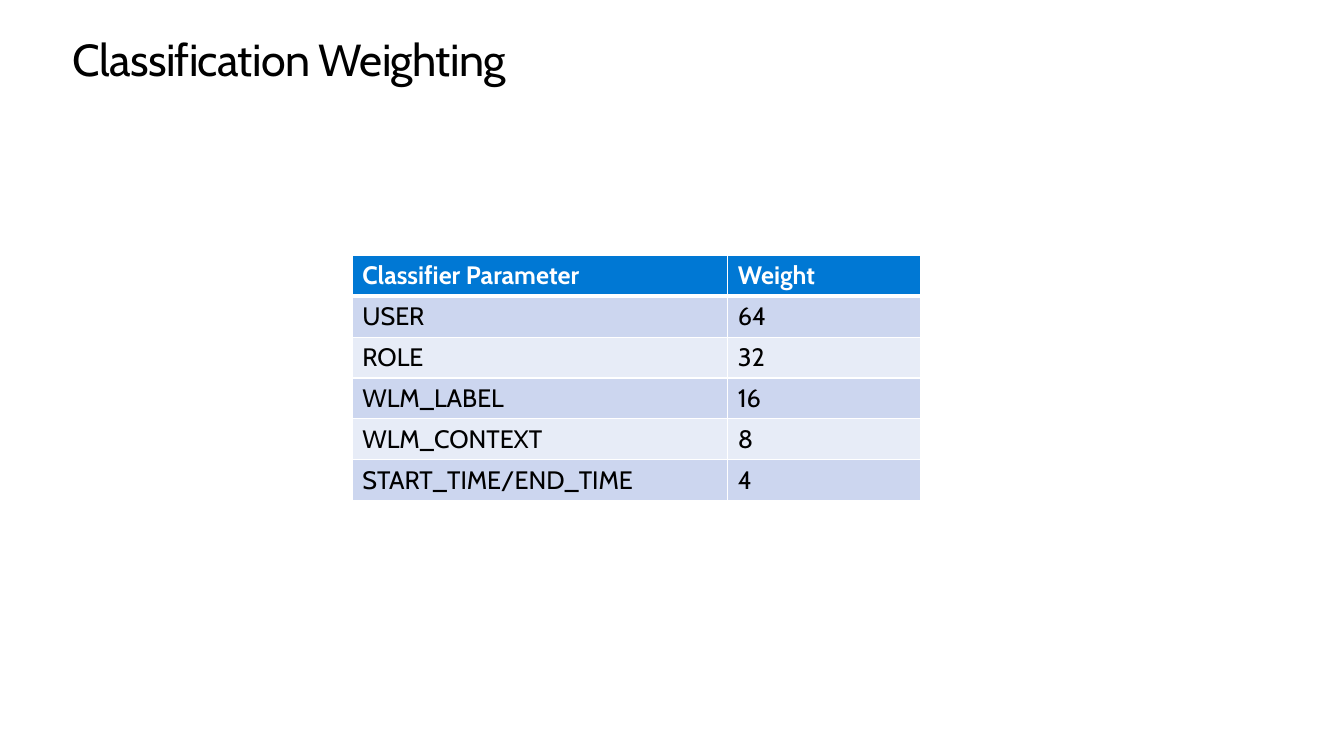
from dataclasses import dataclass

import lxml.etree
import pptx
import pptx.dml.color
import pptx.enum.text
import pptx.oxml.ns
import pptx.table
import pptx.text.text
import pptx.util

Pt = pptx.util.Pt
RGBColor = pptx.dml.color.RGBColor
qn = pptx.oxml.ns.qn

FONT = "Cabin"
WHITE = RGBColor(0xFF, 0xFF, 0xFF)
BLACK = RGBColor(0x00, 0x00, 0x00)
HEADER_BLUE = RGBColor(0x00, 0x78, 0xD4)
BAND_DARK = RGBColor(0xCC, 0xD6, 0xEF)
BAND_LIGHT = RGBColor(0xE7, 0xEC, 0xF7)

COLUMN_WIDTHS = (268.2, 137.9)
ROW_HEIGHT = 29.2
THIN, THICK = 1, 3


@dataclass(frozen=True)
class Weighting:
    parameter: str
    weight: str


HEADER = Weighting("Classifier Parameter", "Weight")
WEIGHTINGS = [
    Weighting("USER", "64"),
    Weighting("ROLE", "32"),
    Weighting("WLM_LABEL", "16"),
    Weighting("WLM_CONTEXT", "8"),
    Weighting("START_TIME/END_TIME", "4"),
]


def format_run(r: pptx.text.text._Run, size: float, color: RGBColor, bold: bool = False) -> None:
    r.font.name = FONT
    r.font.size = Pt(size)
    r.font.bold = bold
    r.font.color.rgb = color


def set_borders(cell: pptx.table._Cell, top: float, bottom: float) -> None:
    """Draw white borders; call before the cell is filled, as the schema puts lines first."""
    tcPr = cell._tc.get_or_add_tcPr()
    for side, width in (("L", THIN), ("R", THIN), ("T", top), ("B", bottom)):
        ln = lxml.etree.SubElement(tcPr, qn(f"a:ln{side}"), w=str(Pt(width)))
        fill = lxml.etree.SubElement(ln, qn("a:solidFill"))
        lxml.etree.SubElement(fill, qn("a:srgbClr"), val=str(WHITE))


def add_title(s: pptx.slide.Slide, text: str) -> None:
    sp = s.shapes.title
    sp.left, sp.top, sp.width, sp.height = Pt(52), Pt(25), Pt(857), Pt(36.2)
    sp.fill.solid()
    sp.fill.fore_color.rgb = WHITE
    tf = sp.text_frame
    tf.text = text
    tf.word_wrap = True
    tf.auto_size = pptx.enum.text.MSO_AUTO_SIZE.SHAPE_TO_FIT_TEXT
    tf.vertical_anchor = pptx.enum.text.MSO_ANCHOR.TOP
    tf.margin_left = tf.margin_right = tf.margin_top = tf.margin_bottom = 0
    p = tf.paragraphs[0]
    p.alignment = pptx.enum.text.PP_ALIGN.LEFT
    p.line_spacing = Pt(36.2)
    r = p.runs[0]
    format_run(r, 32, BLACK)
    r.font._element.set("spc", "-50")


def add_weight_table(s: pptx.slide.Slide) -> None:
    rows = [HEADER, *WEIGHTINGS]
    table = s.shapes.add_table(
        len(rows), len(COLUMN_WIDTHS), Pt(251.6), Pt(182.4),
        Pt(sum(COLUMN_WIDTHS)), Pt(ROW_HEIGHT * len(rows)),
    ).table
    for column, width in zip(table.columns, COLUMN_WIDTHS):
        column.width = Pt(width)
    for i, row in enumerate(rows):
        table.rows[i].height = Pt(ROW_HEIGHT)
        is_header = i == 0
        fill = HEADER_BLUE if is_header else BAND_DARK if i % 2 else BAND_LIGHT
        for j, text in enumerate((row.parameter, row.weight)):
            cell = table.cell(i, j)
            set_borders(cell, THICK if i == 1 else THIN, THICK if is_header else THIN)
            cell.fill.solid()
            cell.fill.fore_color.rgb = fill
            cell.text_frame.text = text
            r = cell.text_frame.paragraphs[0].runs[0]
            format_run(r, 18, WHITE if is_header else BLACK, is_header)


def main() -> None:
    prs = pptx.Presentation()
    prs.slide_width, prs.slide_height = Pt(960), Pt(540)
    s = prs.slides.add_slide(prs.slide_layouts[5])
    add_title(s, "Classification Weighting")
    add_weight_table(s)
    prs.save("out.pptx")


if __name__ == "__main__":
    main()
